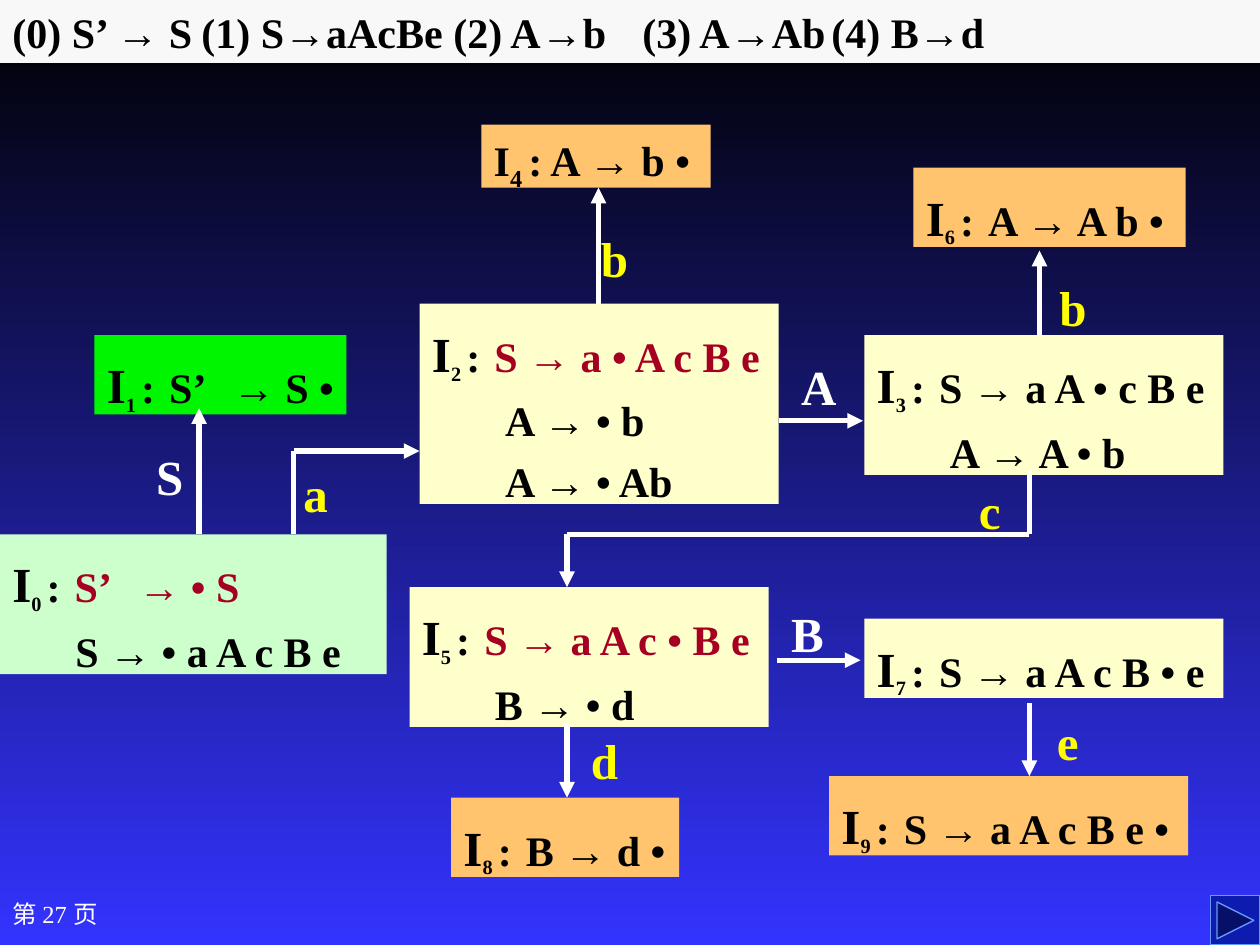
import pptx
import pptx.util
import pptx.dml.color
import pptx.enum.shapes
import pptx.enum.text
import pptx.oxml.ns
import lxml.etree

Inches, Pt = pptx.util.Inches, pptx.util.Pt
rgb = pptx.dml.color.RGBColor.from_string
shapes_enum = pptx.enum.shapes
qn = pptx.oxml.ns.qn

BLACK, WHITE, YELLOW, RED = "000000", "FFFFFF", "FFFF00", "A50021"
CREAM, ORANGE, GREEN, MINT = "FFFFCC", "FFC46D", "00F600", "CCFFCC"


def style(font, size, color, bold=True):
    font.name = "Times New Roman"
    font.size = Pt(size)
    font.bold = bold
    font.color.rgb = rgb(color)


def add_box(left, top, width, height, fill=None, wrap=False, inset=0.1, tabs=()):
    place = [Inches(v) for v in (left, top, width, height)]
    if fill:
        box = slide.shapes.add_shape(shapes_enum.MSO_SHAPE.RECTANGLE, *place)
        box.shadow.inherit = False
        box.fill.solid()
        box.fill.fore_color.rgb = rgb(fill)
        box.line.fill.background()
    else:
        box = slide.shapes.add_textbox(*place)
    frame = box.text_frame
    frame.word_wrap = wrap
    frame.margin_top = Inches(inset)
    frame.vertical_anchor = pptx.enum.text.MSO_ANCHOR.TOP
    first = frame.paragraphs[0]
    first.alignment = pptx.enum.text.PP_ALIGN.LEFT
    if tabs:
        tab_list = lxml.etree.SubElement(first._p.get_or_add_pPr(), qn("a:tabLst"))
        for position in tabs:
            lxml.etree.SubElement(tab_list, qn("a:tab"), pos=str(Inches(position)), algn="l")
    return frame


deck = pptx.Presentation()
deck.slide_width, deck.slide_height = Inches(10), Inches(7.5)
slide = deck.slides.add_slide(deck.slide_layouts[6])
backdrop = slide.background.fill
backdrop.gradient()
backdrop.gradient_angle = 270
for stop, color in zip(backdrop.gradient_stops, (BLACK, "3333FF")):
    stop.color.rgb = rgb(color)

page = add_box(0, 7, 1.14, 0.5, wrap=True, inset=0.05)
page.vertical_anchor = pptx.enum.text.MSO_ANCHOR.MIDDLE
page.text = "第 27 页"
style(page.paragraphs[0].font, 14, WHITE, False)

states = [
    (0, 0, 4.24, 3.07, 1.11, MINT, RED, ["S’\t→ • S", "S → • a A c B e"]),
    (1, 0.75, 2.66, 2, 0.63, GREEN, BLACK, ["S’\t→ S •"]),
    (2, 3.33, 2.41, 2.85, 1.59, CREAM, RED, ["S → a • A c B e", "A → • b", "A → • Ab"]),
    (3, 6.86, 2.66, 2.85, 1.11, CREAM, BLACK, ["S → a A • c B e", "A → A • b"]),
    (4, 3.82, 0.99, 1.82, 0.5, ORANGE, BLACK, ["A → b •"]),
    (5, 3.25, 4.66, 2.85, 1.11, CREAM, RED, ["S → a A c • B e", "B → • d"]),
    (7, 6.86, 4.91, 2.85, 0.63, CREAM, BLACK, ["S → a A c B • e"]),
    (8, 3.58, 6.33, 1.81, 0.63, ORANGE, BLACK, ["B → d •"]),
    (9, 6.58, 6.16, 2.85, 0.63, ORANGE, BLACK, ["S → a A c B e •"]),
    (6, 7.25, 1.33, 2.16, 0.63, ORANGE, BLACK, ["A → A b •"]),
]
for number, left, top, width, height, fill, kernel_color, items in states:
    start = number == 0
    compact = number == 4
    state = add_box(left, top, width, height, fill, wrap=start,
                    inset=0.08 if compact else 0.1,
                    tabs=[1] if "\t" in items[0] else [])
    kernel = state.paragraphs[0]
    pieces = [
        ("I", 24 if compact else 28, BLACK, True),
        (f"{number} ", 24 if compact else 20, BLACK, True),
        (":", 24, BLACK, True),
        (" ", 24 if compact else 32, BLACK, compact),
        (items[0], 24, kernel_color, True),
    ]
    for index, (text, size, color, bold) in enumerate(pieces):
        run = kernel.add_run()
        run.text = text
        style(run.font, size, color, bold)
        if index == 1:
            run._r.get_or_add_rPr().set("baseline", "-25000")
    for item in items[1:]:
        closure = state.add_paragraph()
        closure.text = item
        closure.alignment = pptx.enum.text.PP_ALIGN.LEFT
        closure.space_before = Pt(5.6)
        closure._p.get_or_add_pPr().set("marL", str(Inches(0.5 if start else 0.58)))
        style(closure.font, 24, BLACK)

transitions = [
    ("S", WHITE, 1.14, 3.44, 0.42, [(1.58, 4.24), (1.58, 3.24)]),
    ("a", YELLOW, 2.31, 3.58, 0.39, [(2.33, 4.24), (2.33, 3.58), (3.33, 3.58)]),
    ("A", WHITE, 6.26, 2.73, 0.48, [(6.18, 3.34), (6.85, 3.34)]),
    ("b", YELLOW, 4.67, 1.71, 0.42, [(4.75, 2.41), (4.75, 1.49)]),
    ("b", YELLOW, 8.31, 2.1, 0.42, [(8.25, 2.66), (8.25, 1.99)]),
    ("c", YELLOW, 7.67, 3.71, 0.37, [(8.17, 3.74), (8.17, 4.24), (4.5, 4.24), (4.5, 4.66)]),
    ("B", WHITE, 6.18, 4.69, 0.46, [(6.17, 5.24), (6.83, 5.24)]),
    ("e", YELLOW, 8.29, 5.55, 0.37, [(8.17, 5.58), (8.17, 6.16)]),
    ("d", YELLOW, 4.59, 5.7, 0.42, [(4.5, 5.74), (4.5, 6.33)]),
]
for symbol, color, left, top, width, route in transitions:
    for begin, end in zip(route, route[1:]):
        edge = slide.shapes.add_connector(
            shapes_enum.MSO_CONNECTOR.STRAIGHT, *[Inches(v) for v in begin + end])
        edge.line.color.rgb = rgb(WHITE)
        edge.line.width = Pt(3)
        if end == route[-1]:
            lxml.etree.SubElement(edge.line._get_or_add_ln(), qn("a:tailEnd"), type="triangle")
        lxml.etree.SubElement(edge._element.spPr, qn("a:effectLst"))
    label = add_box(left, top, width, 0.57)
    label.text = symbol
    style(label.paragraphs[0].font, 28, color)

grammar = add_box(0, 0, 10, 0.5, "F8F8F8", wrap=True, inset=0.05,
                  tabs=[1.71, 3.79, 5.17, 6.7])
grammar.text = "(0) S’ → S\t(1) S→aAcBe\t(2) A→b\t(3) A→Ab\t(4) B→d"
style(grammar.paragraphs[0].font, 24, BLACK)

next_button = slide.shapes.add_shape(
    shapes_enum.MSO_SHAPE.ACTION_BUTTON_FORWARD_OR_NEXT,
    Inches(9.61), Inches(7.11), Inches(0.39), Inches(0.39))
next_button.shadow.inherit = False
next_button.fill.solid()
next_button.fill.fore_color.rgb = rgb("0D1CAF")
next_button.line.color.rgb = rgb("6699FF")
next_button.line.width = Pt(0.75)

deck.save("out.pptx")
